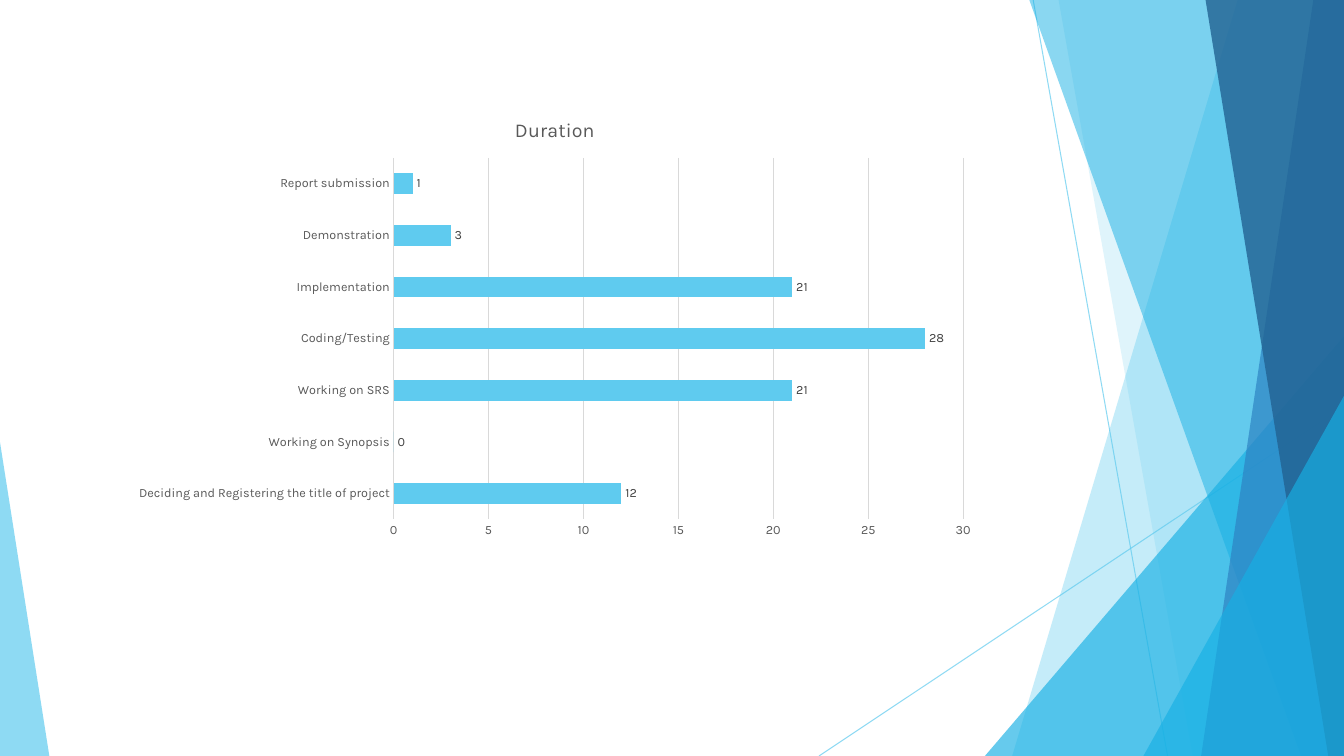
"""Build a project duration bar chart slide with a faceted blue backdrop."""
from dataclasses import dataclass

from lxml.etree import SubElement
from pptx import Presentation
from pptx.chart.chart import Chart
from pptx.chart.data import CategoryChartData
from pptx.dml.color import RGBColor
from pptx.dml.fill import FillFormat
from pptx.enum.chart import XL_CHART_TYPE, XL_LABEL_POSITION, XL_TICK_MARK
from pptx.enum.shapes import MSO_CONNECTOR, MSO_SHAPE
from pptx.oxml.ns import qn
from pptx.oxml.xmlchemy import BaseOxmlElement
from pptx.slide import Slide
from pptx.text.text import Font
from pptx.util import Emu, Pt

EMU_PER_PIXEL = 9525
SLIDE_WIDTH = 1280
SLIDE_HEIGHT = 720


@dataclass(frozen=True)
class Theme:
    font: str = "Karla"
    sky: str = "5FCBEF"
    cyan: str = "17B0E4"
    blue: str = "2E83C3"
    navy: str = "226292"
    text: str = "595959"
    label: str = "404040"
    grid: str = "D9D9D9"
    title_size: int = 14
    small_size: int = 9
    line_width: float = 0.75


@dataclass(frozen=True)
class Ray:
    start: tuple[int, int]
    end: tuple[int, int]


@dataclass(frozen=True)
class Band:
    top_left: int
    bottom_left: int
    color: str
    opacity: int


@dataclass(frozen=True)
class Corner:
    left: int
    top: int
    width: int
    apex: int
    color: str
    opacity: int


THEME = Theme()
RAYS = [Ray((984, 0), (1112, 720)), Ray((1280, 387), (780, 720))]
FACETS: list[Band | Corner] = [
    Band(1179, 964, THEME.sky, 36),
    Band(1008, 1136, THEME.sky, 20),
    Corner(938, 320, 342, 1, THEME.cyan, 66),
    Band(980, 1239, THEME.cyan, 50),
    Band(1251, 1144, THEME.blue, 70),
    Band(1148, 1265, THEME.navy, 80),
    Corner(1089, 377, 191, 1, THEME.cyan, 66),
    Corner(0, 421, 47, 0, THEME.sky, 70),
]
DURATIONS = {
    "Deciding and Registering the title of project": 12,
    "Working on Synopsis": 0,
    "Working on SRS": 21,
    "Coding/Testing": 28,
    "Implementation": 21,
    "Demonstration": 3,
    "Report submission": 1,
}


def px(length: int) -> Emu:
    return Emu(length * EMU_PER_PIXEL)


def set_color(fill: FillFormat, color: str) -> None:
    fill.solid()
    fill.fore_color.rgb = RGBColor.from_string(color)


def set_opacity(properties: BaseOxmlElement, percent: int) -> None:
    for color in properties.iter(qn("a:srgbClr")):
        SubElement(color, qn("a:alpha")).set("val", str(percent * 1000))


def format_font(font: Font, *, size: int, color: str) -> None:
    font.name = THEME.font
    font.size = Pt(size)
    font.bold = False
    font.color.rgb = RGBColor.from_string(color)


def add_ray(slide: Slide, ray: Ray) -> None:
    connector = slide.shapes.add_connector(
        MSO_CONNECTOR.STRAIGHT, *map(px, ray.start + ray.end)
    )
    connector.line.width = Pt(THEME.line_width)
    set_color(connector.line.fill, THEME.sky)
    properties = connector.element.spPr
    set_opacity(properties, 70)
    SubElement(properties, qn("a:effectLst"))


def add_facet(slide: Slide, facet: Band | Corner) -> None:
    if isinstance(facet, Band):
        builder = slide.shapes.build_freeform(facet.top_left, -1, scale=EMU_PER_PIXEL)
        builder.add_line_segments(
            [
                (SLIDE_WIDTH, -1),
                (SLIDE_WIDTH, SLIDE_HEIGHT),
                (facet.bottom_left, SLIDE_HEIGHT),
            ]
        )
        shape = builder.convert_to_shape()
    else:
        shape = slide.shapes.add_shape(
            MSO_SHAPE.ISOSCELES_TRIANGLE,
            px(facet.left),
            px(facet.top),
            px(facet.width),
            px(SLIDE_HEIGHT - facet.top),
        )
        shape.adjustments[0] = facet.apex
    shape.shadow.inherit = False
    shape.line.fill.background()
    set_color(shape.fill, facet.color)
    set_opacity(shape.element.spPr, facet.opacity)


def format_axes(chart: Chart) -> None:
    for axis in (chart.category_axis, chart.value_axis):
        axis.major_tick_mark = XL_TICK_MARK.NONE
        axis.minor_tick_mark = XL_TICK_MARK.NONE
        axis.format.line.fill.background()
        format_font(axis.tick_labels.font, size=THEME.small_size, color=THEME.text)
    chart.category_axis.has_major_gridlines = False
    value_axis = chart.value_axis
    value_axis.minimum_scale = 0
    value_axis.maximum_scale = 30
    value_axis.major_unit = 5
    value_axis.has_major_gridlines = True
    grid_line = value_axis.major_gridlines.format.line
    grid_line.width = Pt(THEME.line_width)
    set_color(grid_line.fill, THEME.grid)


def add_duration_chart(slide: Slide) -> None:
    data = CategoryChartData()
    data.categories = list(DURATIONS)
    data.add_series("Duration", list(DURATIONS.values()))
    chart = slide.shapes.add_chart(
        XL_CHART_TYPE.BAR_CLUSTERED, px(116), px(95), px(825), px(426), data
    ).chart
    chart.has_legend = False
    chart.font.name = THEME.font
    chart.font.size = Pt(10)
    chart.has_title = True
    chart.chart_title.include_in_layout = False
    title = chart.chart_title.text_frame
    title.text = "Duration"
    format_font(
        title.paragraphs[0].runs[0].font, size=THEME.title_size, color=THEME.text
    )
    format_axes(chart)
    plot = chart.plots[0]
    plot.gap_width = 150
    plot.vary_by_categories = False
    set_color(plot.series[0].format.fill, THEME.sky)
    labels = plot.series[0].data_labels
    labels.show_value = True
    labels.position = XL_LABEL_POSITION.OUTSIDE_END
    format_font(labels.font, size=THEME.small_size, color=THEME.label)


def main() -> None:
    presentation = Presentation()
    presentation.slide_width = px(SLIDE_WIDTH)
    presentation.slide_height = px(SLIDE_HEIGHT)
    slide = presentation.slides.add_slide(presentation.slide_layouts[6])
    for ray in RAYS:
        add_ray(slide, ray)
    for facet in FACETS:
        add_facet(slide, facet)
    add_duration_chart(slide)
    presentation.save("out.pptx")


if __name__ == "__main__":
    main()
